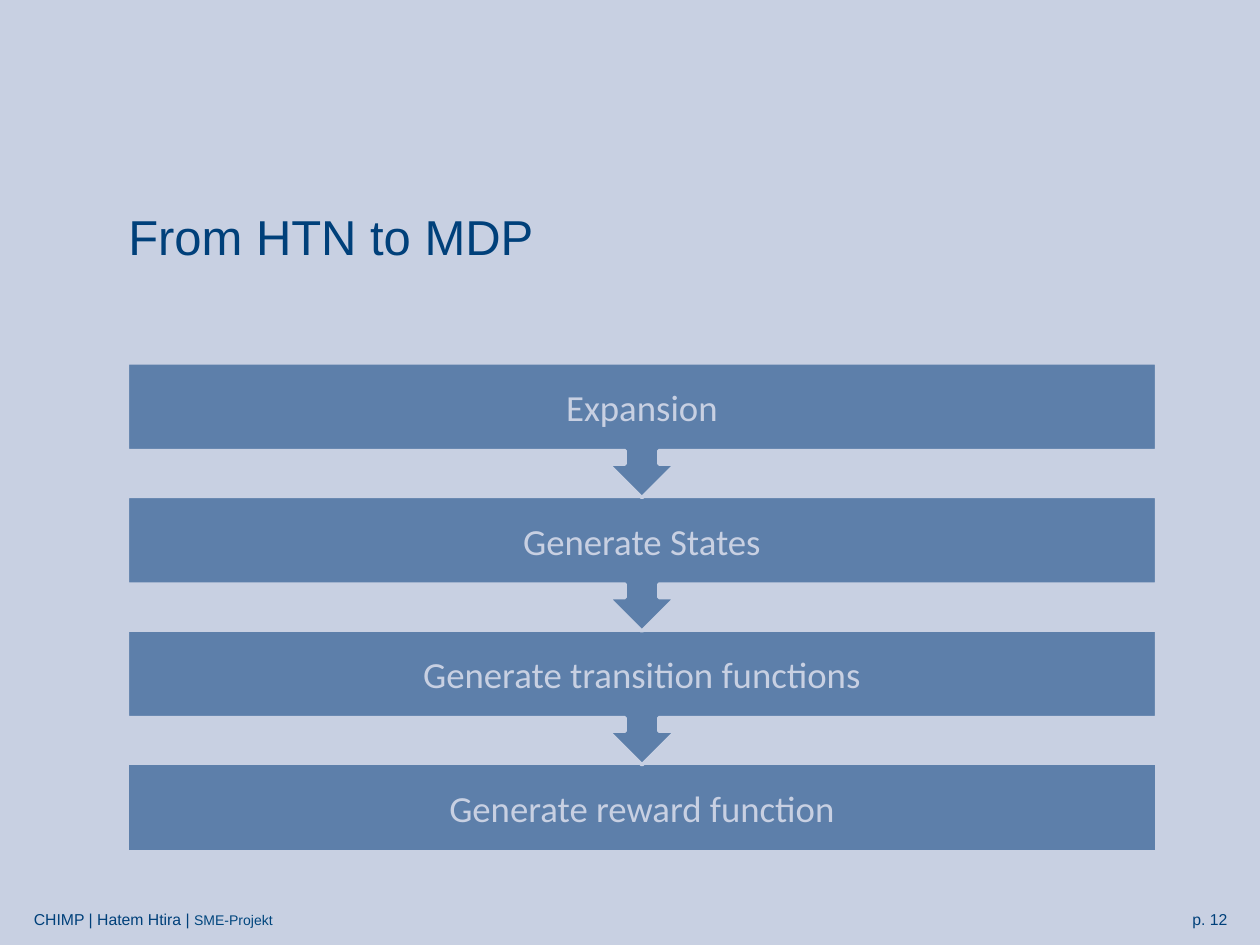
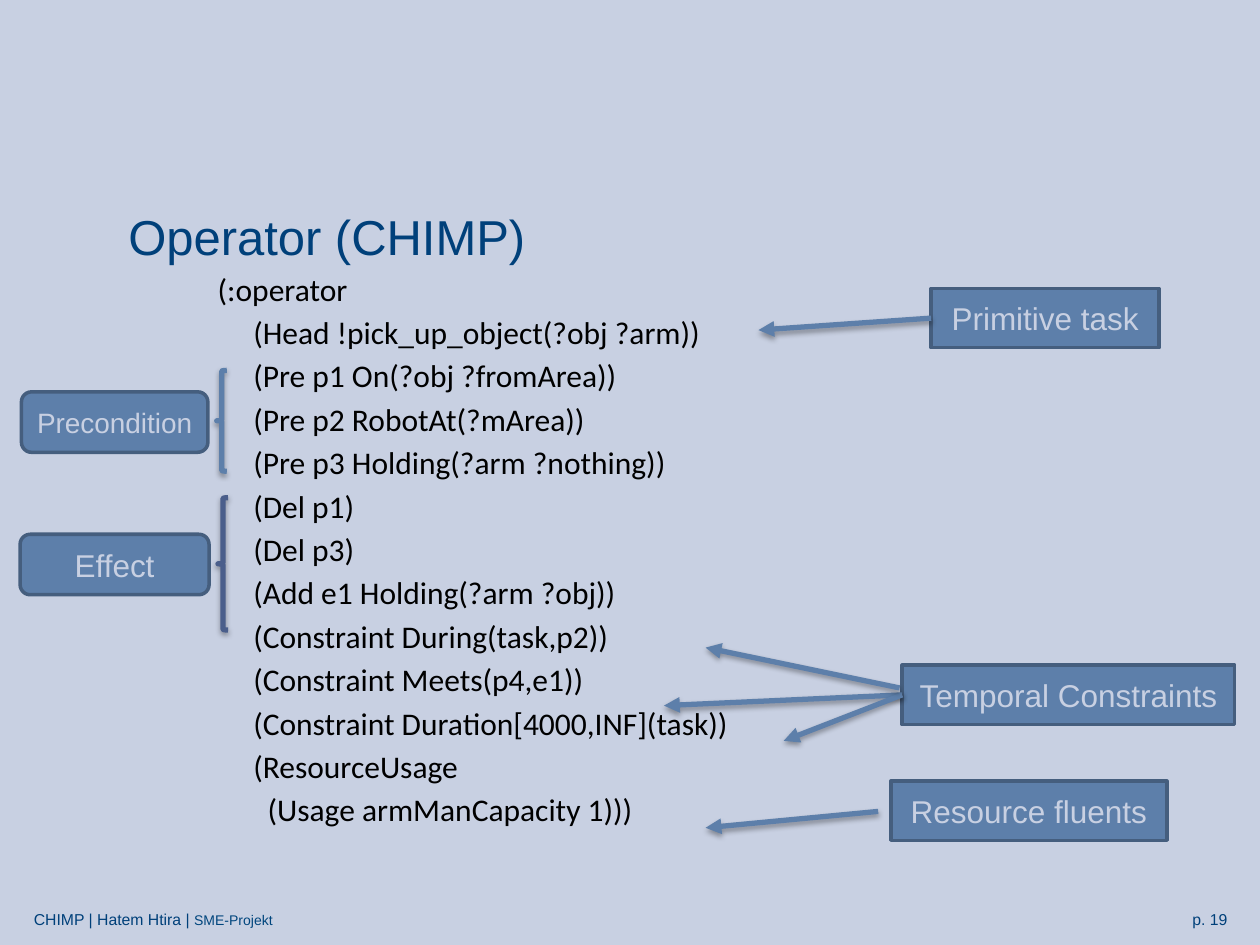
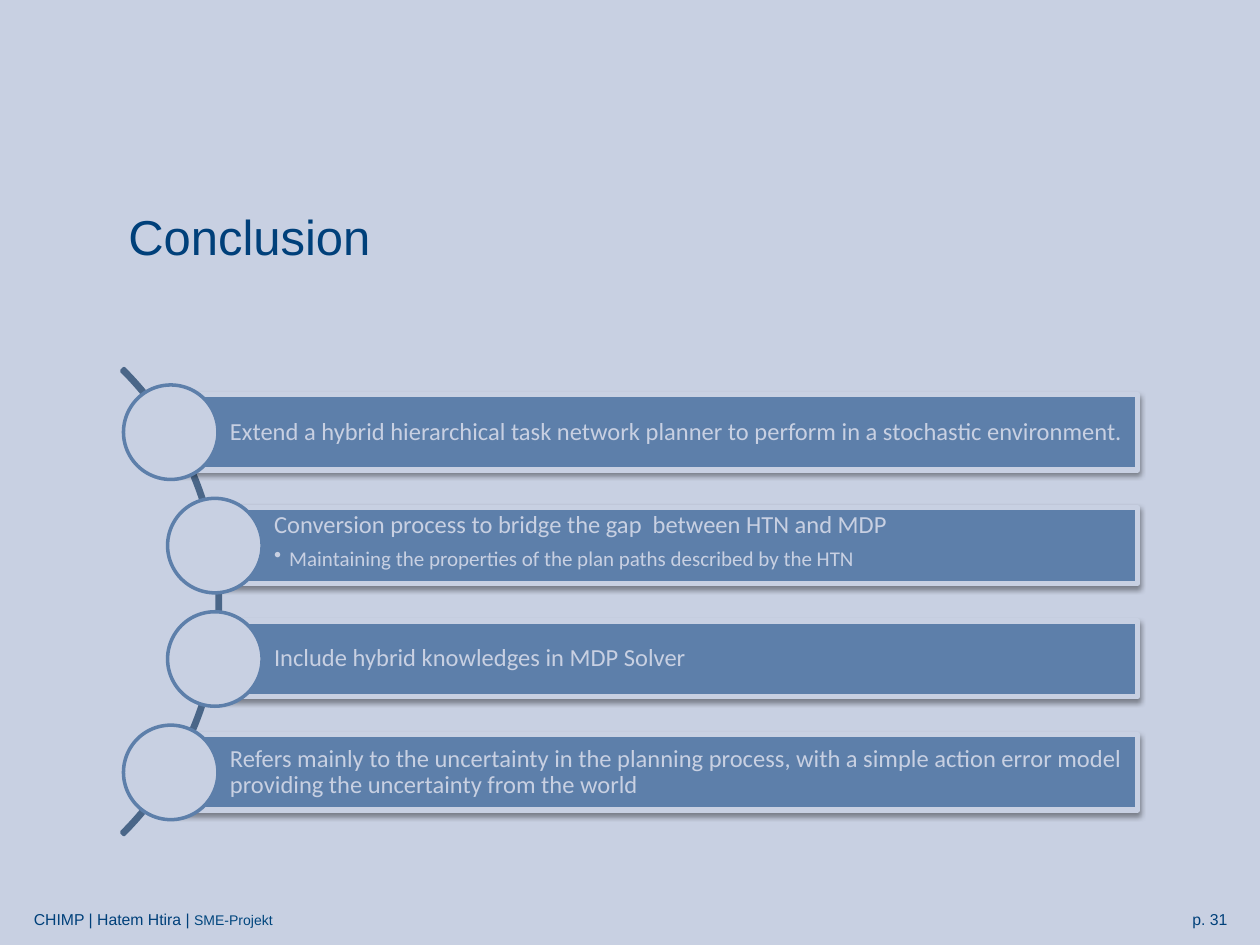
from lxml import etree
from pptx import Presentation
from pptx import util as u
from pptx.dml.color import RGBColor
from pptx.enum import shapes, text
from pptx.oxml import ns

PALE = RGBColor(0xC8, 0xD0, 0xE2)
STEEL = RGBColor(0x5D, 0x7F, 0xAA)
EDGE = RGBColor(0x45, 0x5E, 0x7E)
SLATE = RGBColor(0x4A, 0x66, 0x88)
PLUM = RGBColor(0x4A, 0x5E, 0x8B)
NAVY = RGBColor(0x00, 0x40, 0x7A)
BLUE = RGBColor(0x00, 0x45, 0x7D)
BLACK = RGBColor(0, 0, 0)

KIND = shapes.MSO_SHAPE
LEFT, MID, RIGHT = text.PP_ALIGN.LEFT, text.PP_ALIGN.CENTER, text.PP_ALIGN.RIGHT
TOP, CORE = text.MSO_ANCHOR.TOP, text.MSO_ANCHOR.MIDDLE

WIDE, HIGH = 10, 7.5
FOOT = [("CHIMP | Hatem Htira | ", 9, NAVY), ("SME-Projekt", 8, BLUE)]

STEPS = ["Expansion", "Generate States", "Generate transition functions",
         "Generate reward function"]

# (indent in spaces, line)
CODE = [
    (0, "(:operator"),
    (5, "(Head !pick_up_object(?obj ?arm))"),
    (5, "(Pre p1 On(?obj ?fromArea))"),
    (5, "(Pre p2 RobotAt(?mArea))"),
    (5, "(Pre p3 Holding(?arm ?nothing))"),
    (5, "(Del p1)"),
    (5, "(Del p3)"),
    (5, "(Add e1 Holding(?arm ?obj))"),
    (5, "(Constraint During(task,p2))"),
    (5, "(Constraint Meets(p4,e1))"),
    (5, "(Constraint Duration[4000,INF](task))"),
    (5, "(ResourceUsage"),
    (7, "(Usage armManCapacity 1)))"),
]
# label, kind, size, place, arrows as (start or None for the box's side, end)
NOTES = [
    ("Primitive task", KIND.RECTANGLE, 18, (7.39, 2.29, 1.81, 0.47),
     [(None, (6.02, 2.62))]),
    ("Resource fluents", KIND.RECTANGLE, 18, (7.07, 6.2, 2.19, 0.47),
     [((6.97, 6.44), (5.6, 6.57))]),
    ("Temporal Constraints", KIND.RECTANGLE, 18, (7.16, 5.28, 2.64, 0.47),
     [(None, (5.27, 5.6)), (None, (6.22, 5.88)), ((7.14, 5.46), (5.6, 5.14))]),
    ("Precondition", KIND.ROUNDED_RECTANGLE, 16, (0.17, 3.11, 1.48, 0.48), []),
    ("Effect", KIND.ROUNDED_RECTANGLE, 18, (0.16, 4.24, 1.5, 0.48), []),
]
BRACES = [((1.72, 2.94, 0.08, 0.8), STEEL), ((1.73, 3.95, 0.08, 1.05), PLUM)]

# circle's left edge, paragraphs
POINTS = [
    (0.98, ["Extend a hybrid hierarchical task network planner to perform "
            "in a stochastic environment."]),
    (1.33, ["Conversion process to bridge the gap  between HTN and MDP",
            "Maintaining the properties of the plan paths described by the HTN"]),
    (1.33, ["Include hybrid knowledges in MDP Solver"]),
    (0.98, ["Refers mainly to the uncertainty in the planning process, with a "
            "simple action error model providing the uncertainty from the world"]),
]


def inches(place):
    return [u.Inches(n) for n in place]


def node(parent, tag, **attrs):
    return etree.SubElement(parent, ns.qn("a:" + tag),
                            {k: str(v) for k, v in attrs.items()})


def shade(item, alpha):
    """Give the item a soft shadow straight below it."""
    fx = item.element.spPr.find(ns.qn("a:effectLst"))
    if fx is None:
        fx = node(item.element.spPr, "effectLst")
    drop = node(fx, "outerShdw", blurRad=u.Pt(3.1), dist=u.Pt(1.7),
                dir=5400000, algn="ctr", rotWithShape=0)
    node(node(drop, "srgbClr", val="000000"), "alpha", val=alpha * 1000)


def shape(slide, kind, place, fill, line, width):
    item = slide.shapes.add_shape(kind, *inches(place))
    item.shadow.inherit = False
    if fill is None:
        item.fill.background()
    else:
        item.fill.solid()
        item.fill.fore_color.rgb = fill
    item.line.color.rgb = line
    item.line.width = u.Pt(width)
    return item


def style(run, size, color, font="Arial"):
    run.font.size, run.font.name = u.Pt(size), font
    run.font.color.rgb = color


def write(slide, place, lines, size, color, font="Arial", align=LEFT,
          anchor=TOP, pad=None):
    """Add a text box with one paragraph a line and return its paragraphs."""
    frame = slide.shapes.add_textbox(*inches(place)).text_frame
    frame.word_wrap, frame.vertical_anchor = True, anchor
    if pad:
        (frame.margin_left, frame.margin_top,
         frame.margin_right, frame.margin_bottom) = inches(pad)
    frame.text = "\n".join(lines)
    for para in frame.paragraphs:
        para.alignment = align
        for run in para.runs:
            style(run, size, color, font)
    return frame.paragraphs


def page(deck, title, number):
    slide = deck.slides.add_slide(deck.slide_layouts[6])
    top = HIGH - 0.33
    write(slide, (8.67, top, 1.17, 0.25), [f"p. {number}"], 9, NAVY, align=RIGHT)
    para = write(slide, (0.17, top, 8.25, 0.25), [""], 9, NAVY)[0]
    for words, size, color in FOOT:
        run = para.add_run()
        run.text = words
        style(run, size, color)
    write(slide, (0.92, 1.25, 8.17, 1.25), [title], 28, NAVY, anchor=CORE)
    return slide


def flow(slide):
    left, top, wide, bar, step = 1.01, 2.88, 8.17, 0.7, 1.06
    last = len(STEPS) - 1
    for i in range(last, -1, -1):
        y = top + i * step
        if i == last:
            shape(slide, KIND.RECTANGLE, (left, y, wide, bar), STEEL, PALE, 2)
        else:
            call = shape(slide, KIND.UP_ARROW_CALLOUT,
                         (left, y, wide, step + 0.01), STEEL, PALE, 2)
            call.rotation = 180
        para = write(slide, (left, y, wide, bar), [STEPS[i]], 21, PALE,
                     "Calibri", MID, CORE, [0.16] * 4)[0]
        para.space_after = u.Pt(7.35)


def arrow(slide, box, start, end):
    a, b = inches(start or (0, 0)), inches(end)
    line = slide.shapes.add_connector(shapes.MSO_CONNECTOR.STRAIGHT, *a, *b)
    if start is None:
        line.begin_connect(box, 1)
    line.line.color.rgb = STEEL
    line.line.width = u.Pt(3)
    node(line.element.spPr.get_or_add_ln(), "tailEnd", type="triangle")
    shade(line, 35)


def operator(slide):
    paras = write(slide, (1.63, 2.09, 8.17, 5.13), [c for _, c in CODE], 18,
                  BLACK, "Calibri")
    for para, (gap, _) in zip(paras, CODE):
        para.space_before = u.Pt(3.2)
        pr = para._p.get_or_add_pPr()
        pr.set("marL", str(u.Pt(gap * 4.07)))
        pr.set("indent", "0")
    for label, kind, size, place, ends in NOTES:
        box = shape(slide, kind, place, STEEL, EDGE, 2)
        frame = box.text_frame
        frame.text = label
        frame.word_wrap, frame.vertical_anchor = False, CORE
        frame.paragraphs[0].alignment = MID
        style(frame.paragraphs[0].runs[0], size, PALE)
        for start, end in ends:
            arrow(slide, box, start, end)
    for place, color in BRACES:
        shade(shape(slide, KIND.LEFT_BRACE, place, None, color, 3), 35)


def closing(slide):
    arc = shape(slide, KIND.BLOCK_ARC, (-3.48, 2.16, 5.23, 5.23), None, SLATE, 2)
    for i, turn in enumerate((189, 27, 0.005)):
        arc.adjustments[i] = turn
    size, bar, end = 0.75, 0.6, 9.03
    for i, (x, lines) in enumerate(POINTS):
        y = 3.43 + 0.9 * i
        left = x + size / 2
        place = (left, y - bar / 2, end - left, bar)
        shade(shape(slide, KIND.RECTANGLE, place, STEEL, PALE, 3), 38)
        paras = write(slide, place, lines, 14, PALE, "Calibri",
                      anchor=TOP if len(lines) > 1 else CORE,
                      pad=(0.47, 0.04, 0.04, 0.04))
        for k, para in enumerate(paras):
            para.line_spacing = 0.9
            para.space_after = u.Pt(1.8 if k else 4.9)
            if k:
                para.level = 1
                para.runs[0].font.size = u.Pt(12)
                pr = para._p.get_or_add_pPr()
                pr.set("marL", str(u.Inches(0.12)))
                pr.set("indent", str(-u.Inches(0.12)))
                node(pr, "buChar", char="•")
        shape(slide, KIND.OVAL, (x, y - size / 2, size, size), PALE, STEEL, 2)


def main():
    deck = Presentation()
    deck.slide_width, deck.slide_height = inches((WIDE, HIGH))
    back = deck.slide_master.background.fill
    back.solid()
    back.fore_color.rgb = PALE
    flow(page(deck, "From HTN to MDP", 12))
    operator(page(deck, "Operator (CHIMP)", 19))
    closing(page(deck, "Conclusion", 31))
    deck.save("out.pptx")


if __name__ == "__main__":
    main()
